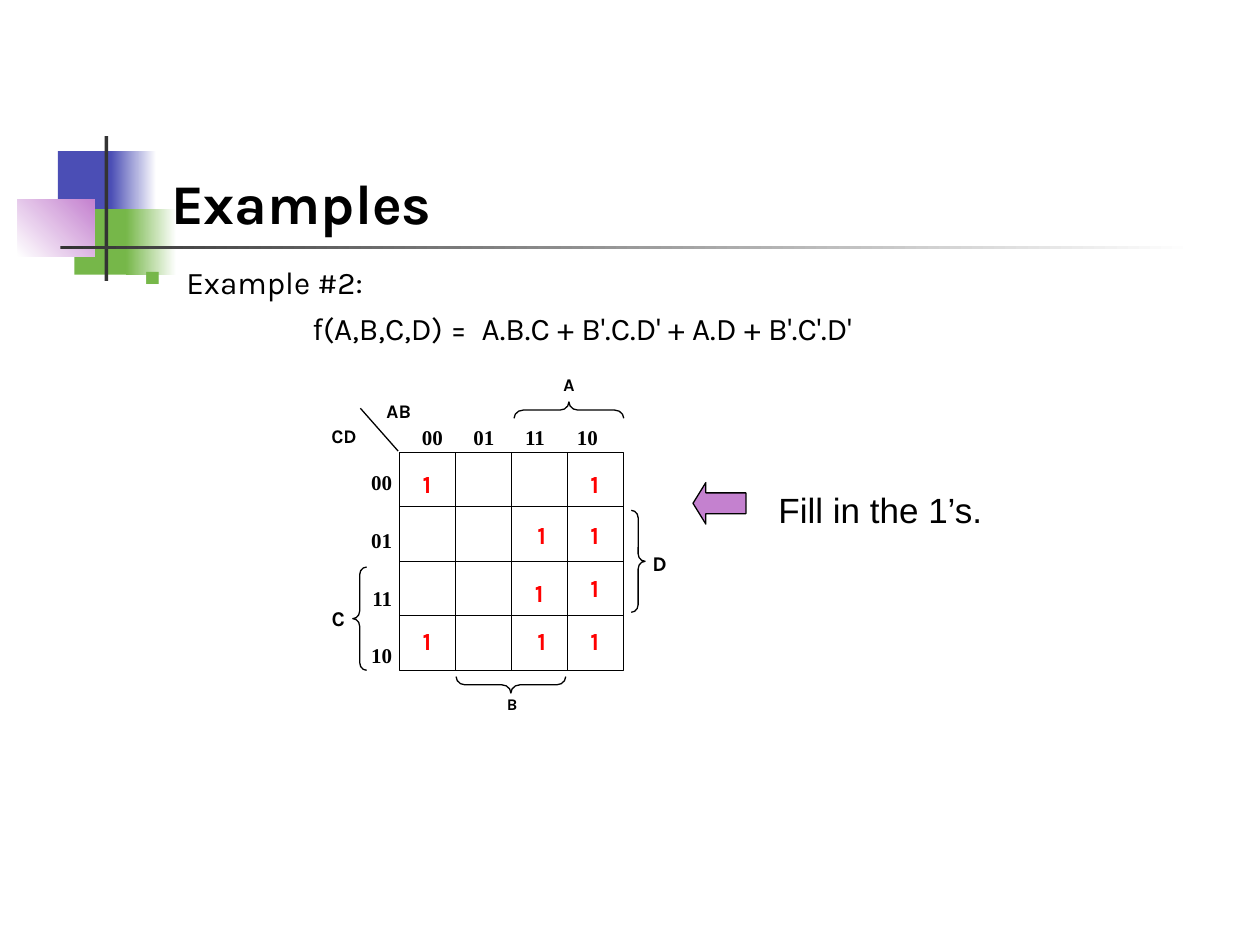
"""Build the Karnaugh map example slide."""
from dataclasses import dataclass
from typing import Optional

import lxml.etree
import pptx
import pptx.dml.color
import pptx.enum.shapes
import pptx.enum.text
import pptx.oxml.ns
import pptx.util

Inches = pptx.util.Inches
Pt = pptx.util.Pt
MSO = pptx.enum.shapes.MSO_SHAPE
ALIGN = pptx.enum.text.PP_ALIGN
ANCHOR = pptx.enum.text.MSO_ANCHOR
qn = pptx.oxml.ns.qn

BLACK, WHITE, RED, GRAY = "000000", "FFFFFF", "FF0000", "333333"
BLUE, GREEN, PURPLE = "4B4EB5", "76B749", "C481CF"
CODES = ["00", "01", "11", "10"]
MAP_LEFT, MAP_TOP, MAP_W, MAP_H = 3.17, 3.59, 1.78, 1.73
CELLS = 4


@dataclass
class Block:
    left: float
    top: float
    width: float
    height: float
    fill: str
    fade_to: Optional[str] = None
    angle: float = 0


@dataclass
class Label:
    text: str
    left: float
    top: float
    width: float
    height: float
    size: float


@dataclass
class Brace:
    left: float
    top: float
    width: float
    height: float
    kind: int = MSO.LEFT_BRACE
    rotation: float = 0


BLOCKS = [
    Block(0.46, 1.2, 0.48, 0.52, BLUE),
    Block(0.88, 1.2, 0.36, 0.52, BLUE, WHITE),
    Block(0.59, 1.66, 0.46, 0.52, GREEN),
    Block(1, 1.66, 0.4, 0.52, GREEN, WHITE),
    Block(0.14, 1.58, 0.61, 0.46, WHITE, PURPLE, 45),
    Block(0.83, 1.08, 0.03, 1.15, GRAY),
    Block(0.48, 1.95, 9, 0.03, GRAY, WHITE),
]
LABELS = [
    Label("A", 4.35, 2.92, 0.33, 0.27, 10.2),
    Label("B", 3.9, 5.46, 0.33, 0.26, 9.3),
    Label("C", 2.52, 4.76, 0.33, 0.35, 12),
    Label("D", 5.07, 4.32, 0.33, 0.35, 12),
    Label("CD", 2.42, 3.32, 0.62, 0.29, 11),
    Label("AB", 2.91, 3.12, 0.51, 0.29, 11),
]
BRACES = [
    Brace(4.45, 2.82, 0.13, 0.87, rotation=90),
    Brace(3.99, 5, 0.13, 0.87, rotation=270),
    Brace(2.8, 4.5, 0.11, 0.82),
    Brace(5.01, 4.05, 0.11, 0.81, MSO.RIGHT_BRACE),
]
ONES = [(3.17, 3.67), (4.5, 3.67), (4.08, 4.08), (4.5, 4.08),
        (4.06, 4.54), (4.5, 4.5), (3.17, 4.92), (4.08, 4.92), (4.5, 4.92)]


def rgb(value: str) -> pptx.dml.color.RGBColor:
    return pptx.dml.color.RGBColor.from_string(value)


def add_shape(s, kind, left: float, top: float, width: float, height: float,
              fill: Optional[str] = None, line: Optional[str] = None):
    sp = s.shapes.add_shape(kind, Inches(left), Inches(top), Inches(width), Inches(height))
    sp.shadow.inherit = False
    if fill:
        sp.fill.solid()
        sp.fill.fore_color.rgb = rgb(fill)
    else:
        sp.fill.background()
    if line:
        sp.line.color.rgb = rgb(line)
        sp.line.width = Pt(0.75)
    else:
        sp.line.fill.background()
    return sp


def add_block(s, block: Block) -> None:
    sp = add_shape(s, MSO.RECTANGLE, block.left, block.top, block.width, block.height, block.fill)
    if block.fade_to:
        sp.fill.gradient()
        sp.fill.gradient_angle = block.angle
        for stop, color in zip(sp.fill.gradient_stops, (block.fill, block.fade_to)):
            stop.color.rgb = rgb(color)


def add_brace(s, brace: Brace) -> None:
    sp = add_shape(s, brace.kind, brace.left, brace.top, brace.width, brace.height, line=BLACK)
    sp.adjustments[0] = 0.55
    sp.rotation = brace.rotation


def add_line(s, x1: float, y1: float, x2: float, y2: float) -> None:
    line = s.shapes.add_connector(pptx.enum.shapes.MSO_CONNECTOR.STRAIGHT,
                                  Inches(x1), Inches(y1), Inches(x2), Inches(y2))
    line.line.color.rgb = rgb(BLACK)
    line.line.width = Pt(0.75)
    lxml.etree.SubElement(line._element.spPr, qn("a:effectLst"))


def add_text(s, left: float, top: float, width: float, height: float, lines: list[str],
             size: float, font: str = "Karla", color: str = BLACK, bold: bool = False,
             align=ALIGN.LEFT, anchor=ANCHOR.TOP, gap: float = 0):
    tf = s.shapes.add_textbox(Inches(left), Inches(top), Inches(width), Inches(height)).text_frame
    tf.word_wrap = True
    tf.vertical_anchor = anchor
    for i, text in enumerate(lines):
        p = tf.add_paragraph() if i else tf.paragraphs[0]
        p.alignment = align
        if i and gap:
            p.space_before = Pt(gap)
        r = p.add_run()
        r.text = text
        r.font.size = Pt(size)
        r.font.name = font
        r.font.bold = bold
        r.font.color.rgb = rgb(color)
    return tf


def add_label(s, label: Label, color: str = BLACK) -> None:
    add_text(s, label.left, label.top, label.width, label.height, [label.text],
             label.size, color=color, bold=True, align=ALIGN.CENTER)


def set_indent(p, margin: float, first: float = 0):
    pPr = p._p.get_or_add_pPr()
    pPr.set("marL", str(Inches(margin)))
    pPr.set("indent", str(Inches(first)))
    return pPr


def add_bullet(pPr) -> None:
    color = lxml.etree.SubElement(pPr, qn("a:buClr"))
    lxml.etree.SubElement(color, qn("a:srgbClr"), val=GREEN)
    lxml.etree.SubElement(pPr, qn("a:buSzPct"), val="120000")
    lxml.etree.SubElement(pPr, qn("a:buChar"), char="▪")


def add_tabs(p, step: float, count: int) -> None:
    tabs = lxml.etree.SubElement(p._p.get_or_add_pPr(), qn("a:tabLst"))
    for i in range(1, count + 1):
        lxml.etree.SubElement(tabs, qn("a:tab"), pos=str(Inches(step * i)), algn="l")


def add_map(s) -> None:
    add_shape(s, MSO.RECTANGLE, MAP_LEFT, MAP_TOP, MAP_W, MAP_H, line=BLACK)
    for i in range(1, CELLS):
        x, y = MAP_LEFT + MAP_W * i / CELLS, MAP_TOP + MAP_H * i / CELLS
        add_line(s, x, MAP_TOP, x, MAP_TOP + MAP_H)
        add_line(s, MAP_LEFT, y, MAP_LEFT + MAP_W, y)
    add_line(s, 3.16, 3.58, 2.86, 3.24)
    for brace in BRACES:
        add_brace(s, brace)
    for label in LABELS:
        add_label(s, label)
    add_text(s, 2.82, 3.68, 0.39, 1.79, CODES, 12, "Times New Roman",
             bold=True, align=ALIGN.RIGHT, gap=18.5)
    tf = add_text(s, 3.25, 3.32, 1.66, 0.35, ["\t".join(CODES)], 12, "Times New Roman", bold=True)
    add_tabs(tf.paragraphs[0], 0.41, CELLS - 1)
    for left, top in ONES:
        add_label(s, Label("1", left, top, 0.44, 0.35, 14), RED)


def main() -> None:
    prs = pptx.Presentation()
    prs.slide_width, prs.slide_height = Inches(10), Inches(7.5)
    s = prs.slides.add_slide(prs.slide_layouts[6])
    for block in BLOCKS:
        add_block(s, block)
    add_text(s, 1.26, 0.67, 8.52, 1.25, ["Examples"], 32, bold=True, anchor=ANCHOR.BOTTOM)
    tf = add_text(s, 1, 2.04, 8.75, 0.96,
                  ["Example #2:", "f(A,B,C,D) =  A.B.C + B'.C.D' + A.D + B'.C'.D'"], 18, gap=4.5)
    add_bullet(set_indent(tf.paragraphs[0], 0.38, -0.38))
    set_indent(tf.paragraphs[1], 1.38)
    add_text(s, 6.08, 3.83, 2.75, 0.44, ["Fill in the 1’s."], 20, "Arial")
    arrow = add_shape(s, MSO.LEFT_ARROW, 5.5, 3.83, 0.42, 0.33, PURPLE, BLACK)
    arrow.adjustments[1] = 0.31
    add_map(s)
    prs.save("out.pptx")


if __name__ == "__main__":
    main()
